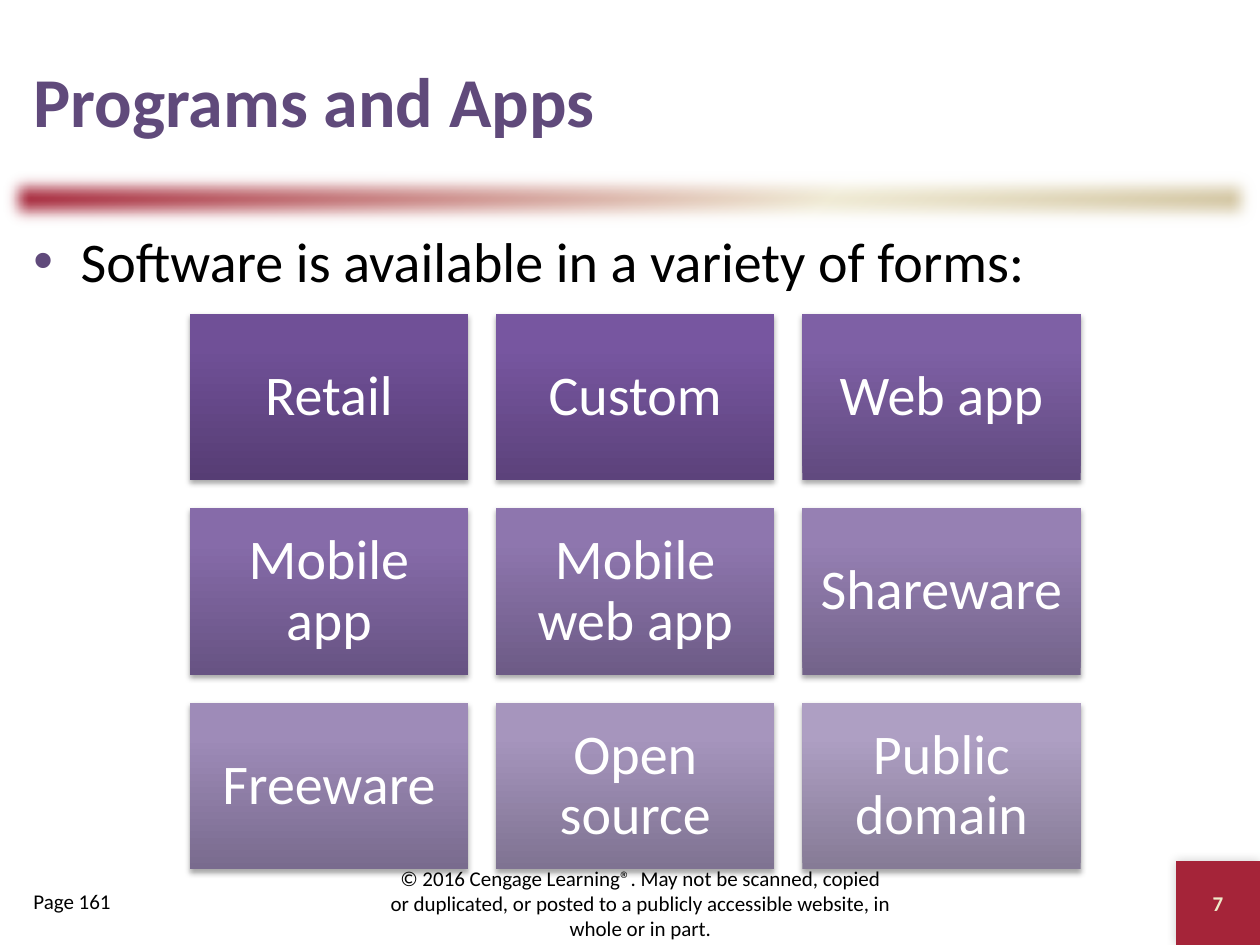
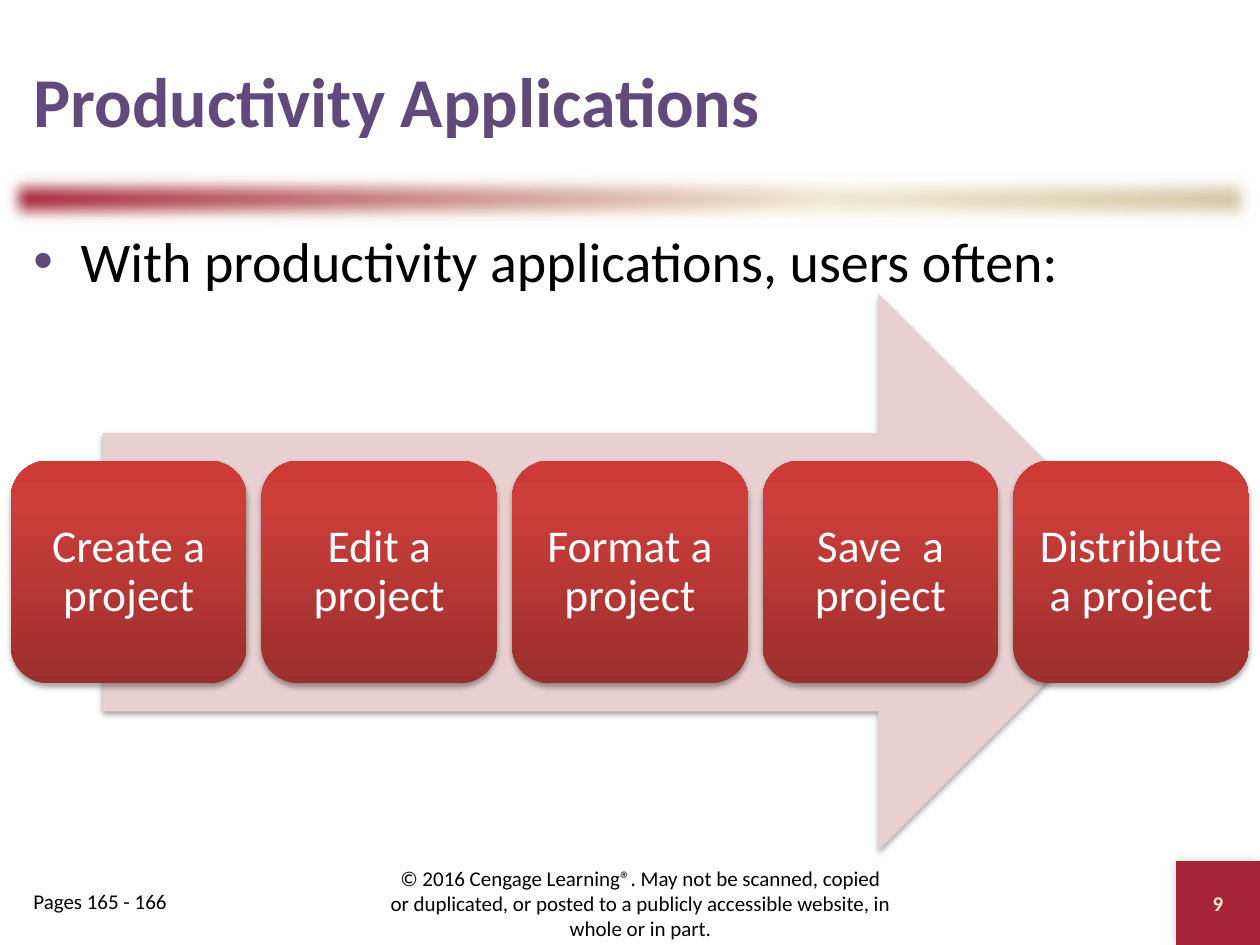
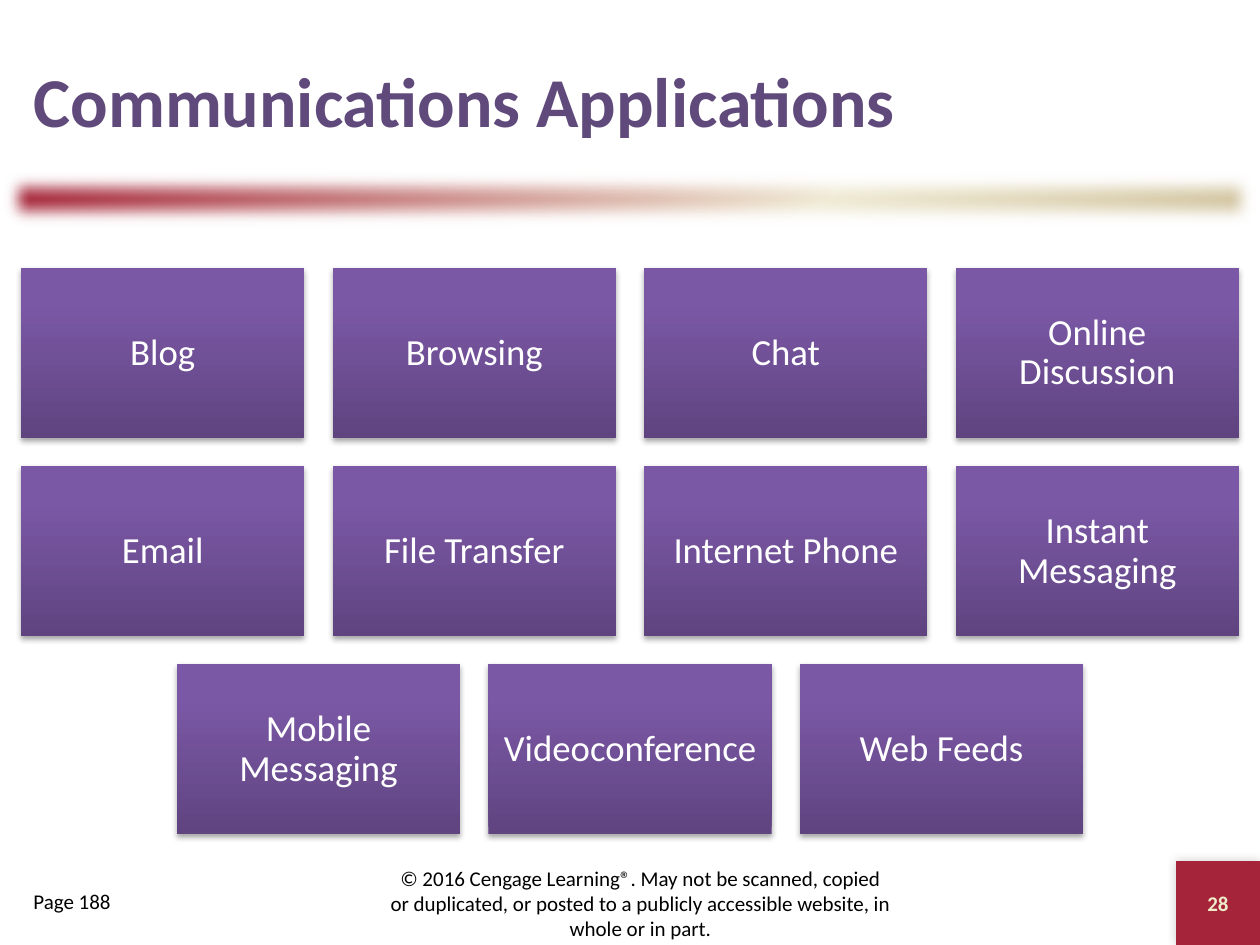
import copy

import pptx
import pptx.dml.color
import pptx.enum.dml
import pptx.enum.shapes
import pptx.enum.text
import pptx.oxml
import pptx.oxml.ns
import pptx.util

Pt = pptx.util.Pt
RGB = pptx.dml.color.RGBColor.from_string
qn = pptx.oxml.ns.qn
Kind = pptx.enum.shapes.MSO_SHAPE
Align = pptx.enum.text.PP_ALIGN
Anchor = pptx.enum.text.MSO_ANCHOR

COLOURS = {
    "title": "604A7B",
    "text": "000000",
    "white": "FFFFFF",
    "crimson": "A52439",
    "cream": "F0EBD5",
    "sand": "D1C39F",
    "number": "EEEBCA",
    "arrow": "E8D0D0",
}
RED = ("9C2F2D", "CB3E3A", "CE3B37")
PURPLE = ("5F4480", "7B58A6", "7C57A8")
FADING = [
    ("563D74", "705097", "704F99"),
    ("5C427B", "7756A0", "7755A2"),
    ("614A7F", "7E60A5", "7F60A7"),
    ("675383", "866BA9", "876BAB"),
    ("6D5B86", "8E76AE", "8E75B0"),
    ("73638A", "9680B3", "9680B5"),
    ("796B8E", "9E8BB8", "9E8BBA"),
    ("7F7392", "A695BD", "A695BF"),
    ("867B96", "AE9FC3", "AE9FC4"),
]
NAMESPACE = pptx.oxml.ns.nsdecls("a")
SHADOW = (
    f'<a:outerShdw {NAMESPACE} blurRad="{{}}" dist="{{}}" dir="{{}}" rotWithShape="0">'
    '<a:srgbClr val="000000"><a:alpha val="{}"/></a:srgbClr></a:outerShdw>'
)
CARD_SHADOW = SHADOW.format(Pt(3.15), Pt(1.8), 5400000, 35000)
CORNER_SHADOW = SHADOW.format(Pt(6), 0, 13500000, 20000)
SOFT_EDGE = f'<a:softEdge {NAMESPACE} rad="{Pt(10)}"/>'
COPYRIGHT = (
    "© 2016 Cengage Learning®. May not be scanned, copied or duplicated, "
    "or posted to a publicly accessible website, in whole or in part."
)

SLIDES = [
    {
        "title": "Programs and Apps",
        "lead": "Software is available in a variety of forms:",
        "pages": "Page 161",
        "number": "7",
        "rows": [
            ["Retail", "Custom", "Web app"],
            ["Mobile app", "Mobile web app", "Shareware"],
            ["Freeware", "Open source", "Public domain"],
        ],
        "kind": Kind.RECTANGLE,
        "centre": 363, "top": 179.3, "width": 159, "height": 95.2, "gap": 16,
        "size": 32, "gradients": FADING,
    },
    {
        "title": "Productivity Applications",
        "lead": "With productivity applications, users often:",
        "pages": "Pages 165 - 166",
        "number": "9",
        "rows": [["Create a project", "Edit a project", "Format a project",
                  "Save  a project", "Distribute a project"]],
        "kind": Kind.ROUNDED_RECTANGLE,
        "centre": 360, "top": 263.3, "width": 134.7, "height": 127.2, "gap": 8.5,
        "size": 26, "gradients": [RED] * 5,
        "arrow": (59, 168, 602, 318),
    },
    {
        "title": "Communications Applications",
        "pages": "Page 188",
        "number": "28",
        "rows": [
            ["Blog", "Browsing", "Chat", "Online Discussion"],
            ["Email", "File Transfer", "Internet Phone", "Instant Messaging"],
            ["Mobile Messaging", "Videoconference", "Web Feeds"],
        ],
        "kind": Kind.RECTANGLE,
        "centre": 360, "top": 153.2, "width": 162, "height": 97.2, "gap": 16,
        "size": 21, "gradients": [PURPLE] * 11,
    },
]


def write(box, text, size=12, colour="text", bold=False, align=Align.LEFT,
          anchor=Anchor.MIDDLE, inset=None, spacing=None, bullet=False):
    frame = box.text_frame
    frame.word_wrap = True
    frame.auto_size = pptx.enum.text.MSO_AUTO_SIZE.NONE
    frame.vertical_anchor = anchor
    if inset is not None:
        frame.margin_left = frame.margin_right = Pt(inset)
        frame.margin_top = frame.margin_bottom = Pt(inset)
    frame.text = text
    para = frame.paragraphs[0]
    para.alignment = align
    if spacing:
        para.line_spacing = spacing
    if bullet:
        settings = para._p.get_or_add_pPr()
        settings.set("marL", str(Pt(27)))
        settings.set("indent", str(-Pt(27)))
        for markup in (
            f'<a:buClr {NAMESPACE}><a:srgbClr val="{COLOURS["title"]}"/></a:buClr>',
            f'<a:buFont {NAMESPACE} typeface="Arial"/>',
            f'<a:buChar {NAMESPACE} char="•"/>',
        ):
            settings.append(pptx.oxml.parse_xml(markup))
    font = para.runs[0].font
    font.name = "Calibri"
    font.size = Pt(size)
    font.bold = bold
    font.color.rgb = RGB(COLOURS[colour])


def paint(shape, colours, effect, positions=(0, 0.8, 1), angle=90):
    if len(colours) == 1:
        shape.fill.solid()
        shape.fill.fore_color.rgb = RGB(colours[0])
    else:
        shape.fill.gradient()
        shape.fill.gradient_angle = angle
        stop_list = shape.element.find(".//" + qn("a:gsLst"))
        stop_list.append(copy.deepcopy(stop_list[0]))
        for stop, colour, position in zip(shape.fill.gradient_stops, colours, positions):
            stop.color.rgb = RGB(colour)
            stop.position = position
    shape.line.fill.background()
    shape.shadow.inherit = False
    shape.element.find(".//" + qn("a:effectLst")).append(pptx.oxml.parse_xml(effect))


deck = pptx.Presentation()
deck.slide_width = Pt(720)
deck.slide_height = Pt(540)
layout = deck.slide_layouts[5]
for holder in list(layout.placeholders):
    if holder.placeholder_format.idx != 0:
        holder.element.getparent().remove(holder.element)

for index, content in enumerate(SLIDES):
    page = deck.slides.add_slide(layout)

    if index == 0:
        band = page.shapes.add_shape(Kind.RECTANGLE, 0, Pt(96), Pt(720), Pt(36))
        paint(band, [COLOURS[name] for name in ("crimson", "cream", "sand")],
              SOFT_EDGE, positions=(0, 0.65, 1), angle=315)
        corner = page.shapes.add_shape(Kind.RECTANGLE, Pt(672), Pt(492), Pt(48), Pt(48))
        paint(corner, [COLOURS["crimson"]], CORNER_SHADOW)
        for shared in (band, corner):
            layout.shapes.element.append(shared.element)

    title = page.shapes.title
    title.left, title.top, title.width, title.height = Pt(12), Pt(12), Pt(696), Pt(90)
    write(title, content["title"], size=40, colour="title", bold=True)

    if "lead" in content:
        lead = page.shapes.add_textbox(Pt(12), Pt(126), Pt(696), Pt(366))
        write(lead, content["lead"], size=32, anchor=Anchor.TOP, bullet=True)

    notice = page.shapes.add_textbox(Pt(216), Pt(498), Pt(300), Pt(36))
    write(notice, COPYRIGHT, align=Align.CENTER)
    number = page.shapes.add_textbox(Pt(672), Pt(492), Pt(48), Pt(48))
    write(number, content["number"], colour="number", bold=True, align=Align.CENTER)
    pages = page.shapes.add_textbox(Pt(12), Pt(504), Pt(132), Pt(36))
    write(pages, content["pages"], anchor=Anchor.TOP)

    if "arrow" in content:
        arrow = page.shapes.add_shape(Kind.RIGHT_ARROW, *map(Pt, content["arrow"]))
        paint(arrow, [COLOURS["arrow"]], CARD_SHADOW)

    width, height, gap = content["width"], content["height"], content["gap"]
    gradients = iter(content["gradients"])
    for row, labels in enumerate(content["rows"]):
        left = content["centre"] - (len(labels) * (width + gap) - gap) / 2
        top = content["top"] + row * (height + gap)
        for column, label in enumerate(labels):
            card = page.shapes.add_shape(
                content["kind"], Pt(left + column * (width + gap)), Pt(top),
                Pt(width), Pt(height))
            paint(card, next(gradients), CARD_SHADOW)
            write(card, label, size=content["size"], colour="white",
                  align=Align.CENTER, inset=content["size"] * 0.3, spacing=0.9)

deck.save("out.pptx")
